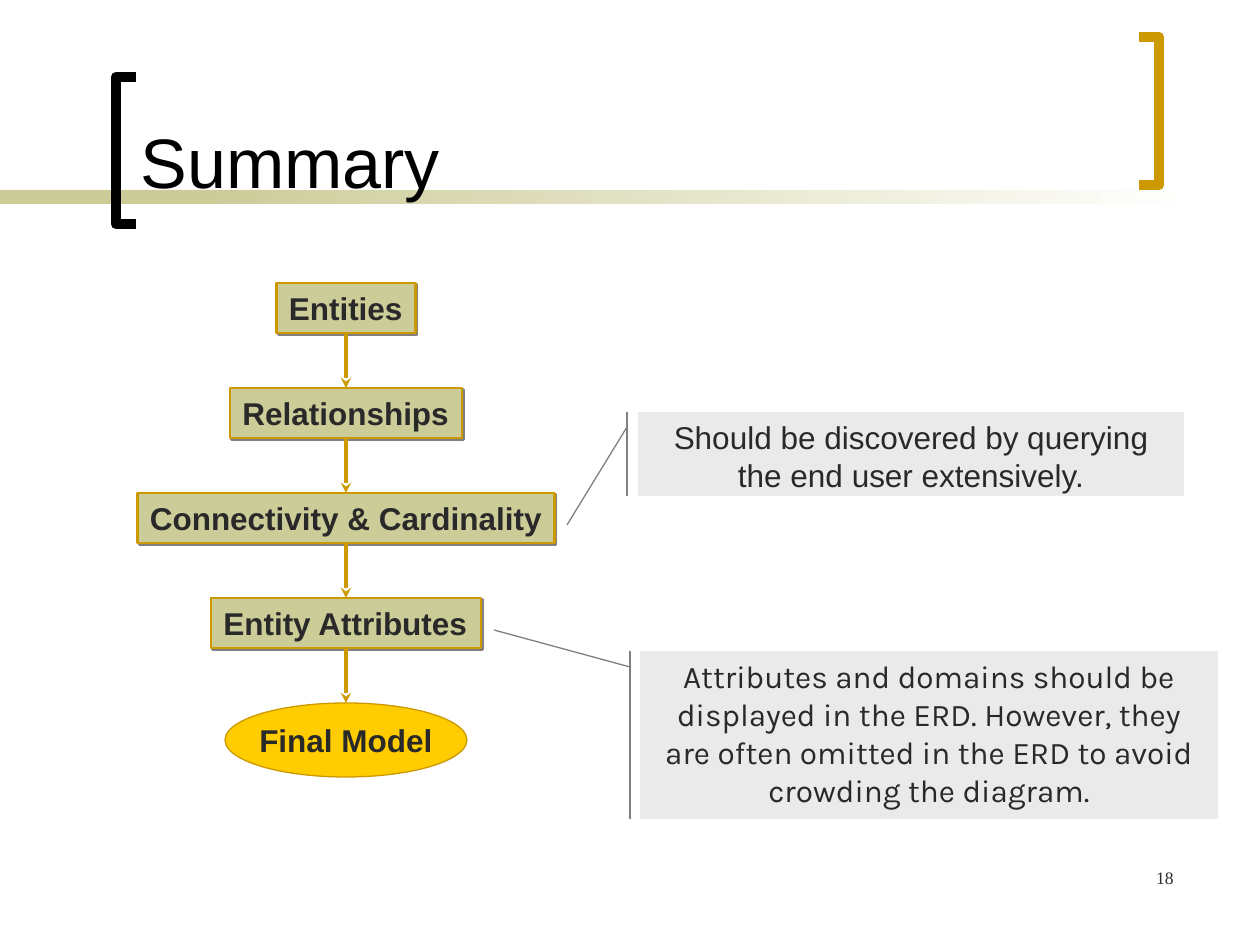
from dataclasses import dataclass

from lxml.etree import SubElement
from pptx import Presentation
from pptx.dml.color import RGBColor
from pptx.enum.shapes import MSO_CONNECTOR, MSO_SHAPE
from pptx.enum.text import MSO_ANCHOR, MSO_AUTO_SIZE, PP_ALIGN
from pptx.oxml.ns import qn
from pptx.util import Pt

PX = 914400 / 126  # EMU in one px


@dataclass(frozen=True)
class Theme:
    black: str = "000000"
    white: str = "FFFFFF"
    text: str = "292929"
    khaki: str = "CCCC99"
    gold: str = "CC9900"
    yellow: str = "FFCC00"
    note: str = "EAEAEA"
    gray: str = "808080"
    title_size: int = 40
    body_size: int = 18
    number_size: int = 10
    font: str = "Arial"
    note_font: str = "Karla"
    number_font: str = "Times New Roman"


THEME = Theme()

# Flow steps: text and box width
STEPS = [
    ("Entities", 139),
    ("Relationships", 232),
    ("Connectivity & Cardinality", 417),
    ("Entity Attributes", 270),
]
FLOW_CENTER, FLOW_TOP, FLOW_PITCH, STEP_HEIGHT = 346, 283, 105, 50

# Notes: text, font, box (left, top, width, height), leader start and end
NOTES = [
    ("Attributes and domains should be displayed in the ERD. However, they "
     "are often omitted in the ERD to avoid crowding the diagram.",
     THEME.note_font, (640, 651, 578, 168), (494, 630), (630, 667)),
    ("Should be discovered by querying the end user extensively.",
     THEME.font, (638, 412, 546, 84), (567, 525), (627, 427)),
]


def px(*values):
    return [round(v * PX) for v in values]


def rgb(color):
    return RGBColor.from_string(color)


def set_text(shape, text, size, color=THEME.text, font=THEME.font,
             bold=False, align=PP_ALIGN.LEFT, anchor=MSO_ANCHOR.TOP, wrap=True):
    tf = shape.text_frame
    tf.text = text
    tf.word_wrap = wrap
    tf.vertical_anchor = anchor
    p = tf.paragraphs[0]
    p.alignment = align
    p.font.name, p.font.size, p.font.bold = font, Pt(size), bold
    p.font.color.rgb = rgb(color)


def add_shape(s, kind, box, fill, line=None, width=0.75):
    sp = s.shapes.add_shape(kind, *px(*box))
    sp.shadow.inherit = False
    sp.fill.solid()
    sp.fill.fore_color.rgb = rgb(fill)
    if line:
        sp.line.color.rgb = rgb(line)
        sp.line.width = Pt(width)
    else:
        sp.line.fill.background()
    return sp


def add_bracket(s, tip, spine, top, bottom, color):
    builder = s.shapes.build_freeform(tip, top, scale=PX)
    builder.add_line_segments([(spine, top), (spine, bottom), (tip, bottom)], close=False)
    sp = builder.convert_to_shape()
    sp.shadow.inherit = False
    sp.fill.background()
    sp.line.color.rgb = rgb(color)
    sp.line.width = Pt(6)


def add_band(s):
    add_shape(s, MSO_SHAPE.RECTANGLE, (0, 190, 293, 14), THEME.khaki)
    fade = add_shape(s, MSO_SHAPE.RECTANGLE, (199, 190, 998, 14), THEME.khaki)
    fade.fill.gradient()
    fade.fill.gradient_angle = 0
    for stop, color in zip(fade.fill.gradient_stops, (THEME.khaki, THEME.white)):
        stop.color.rgb = rgb(color)


def add_title(s, text):
    title = s.shapes.title
    title.left, title.top, title.width, title.height = px(128, 14, 987, 195)
    set_text(title, text, THEME.title_size, THEME.black, anchor=MSO_ANCHOR.BOTTOM)
    s.shapes._spTree.append(title._element)  # in front of the band


def add_hard_shadow(sp):
    effects = sp._element.spPr.find(qn("a:effectLst"))
    shadow = SubElement(effects, qn("a:outerShdw"), dist="17960", dir="2700000",
                        algn="ctr", rotWithShape="0")
    SubElement(shadow, qn("a:srgbClr"), val=THEME.gray)


def add_step(s, text, width, top):
    box = (FLOW_CENTER - width / 2, top, width, STEP_HEIGHT)
    sp = add_shape(s, MSO_SHAPE.RECTANGLE, box, THEME.khaki, THEME.gold, 1.5)
    add_hard_shadow(sp)
    set_text(sp, text, THEME.body_size, bold=True, wrap=False)
    sp.text_frame.auto_size = MSO_AUTO_SIZE.SHAPE_TO_FIT_TEXT
    return sp


def add_final(s, text, top):
    sp = add_shape(s, MSO_SHAPE.OVAL, (FLOW_CENTER - 121, top, 242, 74),
                   THEME.yellow, THEME.gold)
    set_text(sp, text, THEME.body_size, bold=True, align=PP_ALIGN.CENTER,
             anchor=MSO_ANCHOR.MIDDLE, wrap=False)
    return sp


def add_arrow(s, upper, lower):
    c = s.shapes.add_connector(MSO_CONNECTOR.STRAIGHT, 0, 0, 0, 0)
    c.begin_connect(upper, 2)
    c.end_connect(lower, 0)
    c.line.color.rgb = rgb(THEME.gold)
    c.line.width = Pt(2)
    SubElement(c.line._get_or_add_ln(), qn("a:tailEnd"), type="stealth")
    SubElement(c._element.spPr, qn("a:effectLst"))


def add_note(s, text, font, box, start, end):
    sp = add_shape(s, MSO_SHAPE.LINE_CALLOUT_1_ACCENT_BAR, box, THEME.note, THEME.gray)
    left, top, width, height = box
    # Adjustments run from the accent bar to the far end, as y, x pairs
    for i, (x, y) in enumerate((end, start)):
        sp.adjustments[2 * i] = (y - top) / height
        sp.adjustments[2 * i + 1] = (x - left) / width
    set_text(sp, text, THEME.body_size, font=font, align=PP_ALIGN.CENTER)


def main():
    prs = Presentation()
    prs.slide_width, prs.slide_height = px(1260, 945)
    s = prs.slides.add_slide(prs.slide_layouts[5])

    # Heading
    add_band(s)
    add_bracket(s, 136, 116, 77, 224, THEME.black)
    add_bracket(s, 1139, 1159, 37, 185, THEME.gold)
    add_title(s, "Summary")

    # Flow
    flow = [add_step(s, text, width, FLOW_TOP + i * FLOW_PITCH)
            for i, (text, width) in enumerate(STEPS)]
    flow.append(add_final(s, "Final Model", FLOW_TOP + len(STEPS) * FLOW_PITCH))
    for upper, lower in zip(flow, flow[1:]):
        add_arrow(s, upper, lower)

    # Notes
    for note in NOTES:
        add_note(s, *note)

    # Slide number
    number = s.shapes.add_textbox(*px(924, 861, 262, 63))
    set_text(number, "18", THEME.number_size, font=THEME.number_font, align=PP_ALIGN.RIGHT)

    prs.save("out.pptx")


if __name__ == "__main__":
    main()
